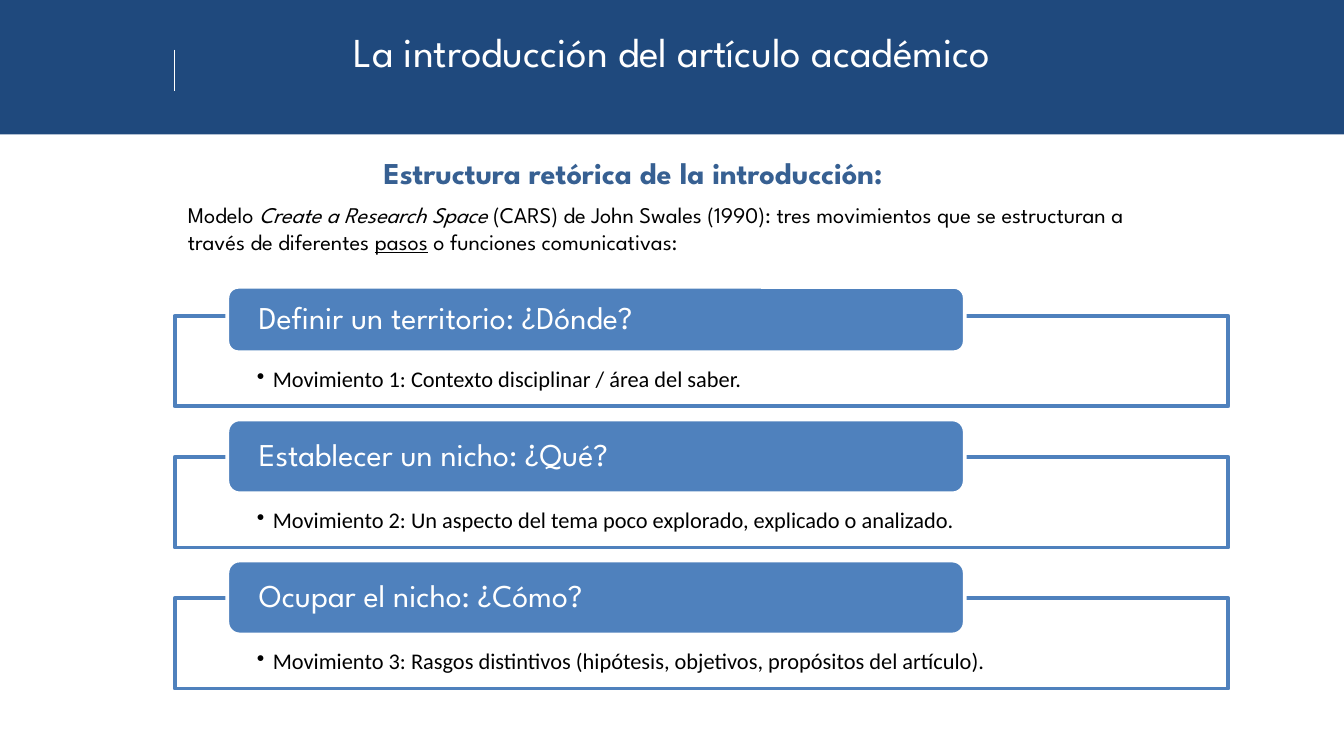
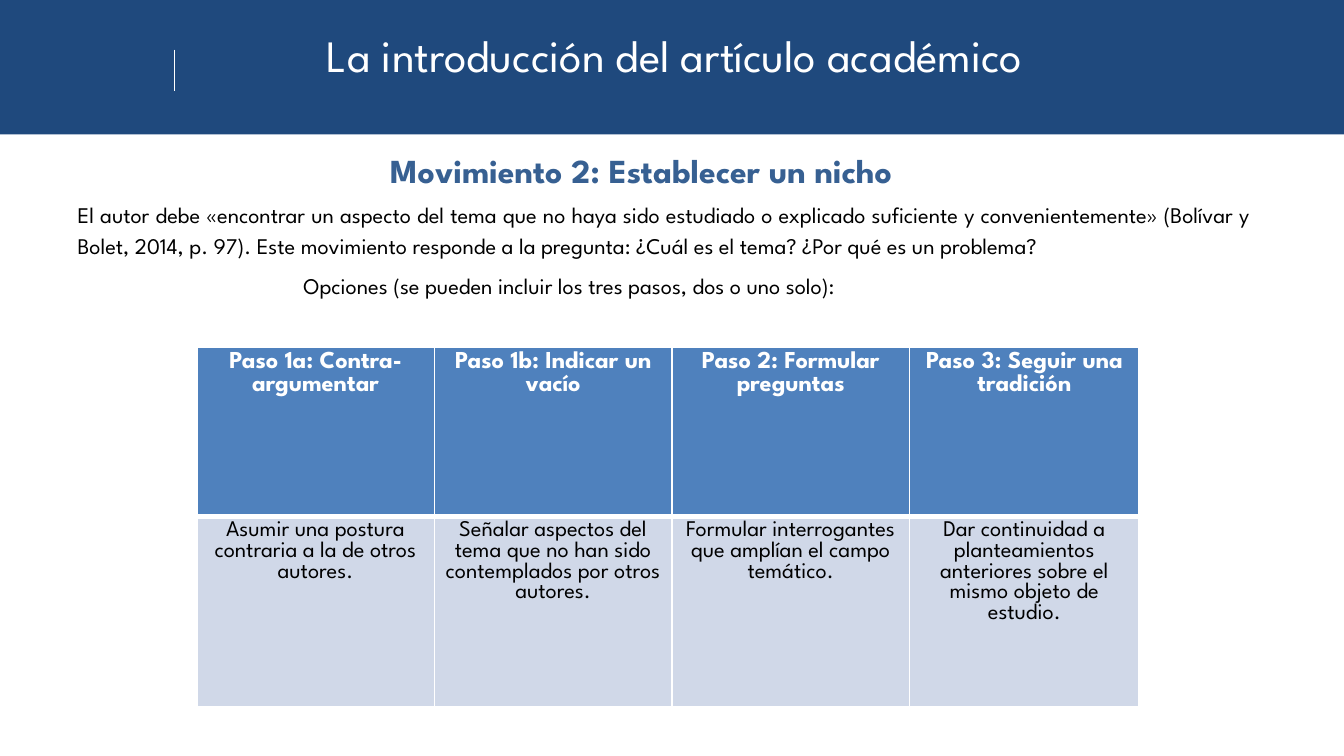
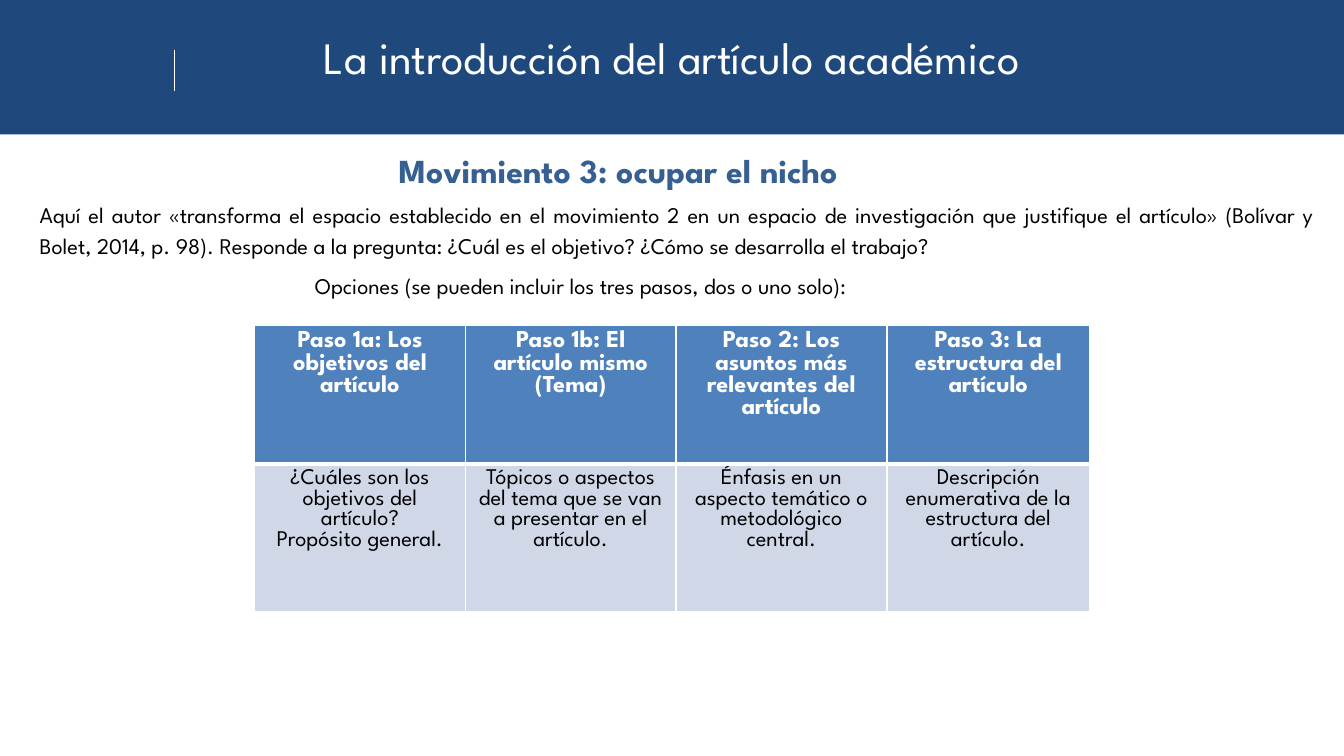
from lxml import etree
from pptx import Presentation
from pptx.dml.color import RGBColor
from pptx.enum.shapes import MSO_CONNECTOR, MSO_SHAPE
from pptx.enum.text import MSO_ANCHOR, MSO_AUTO_SIZE, PP_ALIGN
from pptx.oxml.ns import qn
from pptx.util import Pt

RECTANGLE = MSO_SHAPE.RECTANGLE
ROUNDED_RECTANGLE = MSO_SHAPE.ROUNDED_RECTANGLE
STRAIGHT = MSO_CONNECTOR.STRAIGHT
TOP, MIDDLE, BOTTOM = MSO_ANCHOR.TOP, MSO_ANCHOR.MIDDLE, MSO_ANCHOR.BOTTOM
LEFT, CENTER, JUSTIFY = PP_ALIGN.LEFT, PP_ALIGN.CENTER, PP_ALIGN.JUSTIFY
NO_AUTOFIT = MSO_AUTO_SIZE.NONE

COLORS = {
    "band": "1F497D",
    "heading": "376092",
    "accent": "4F81BD",
    "cell": "D0D8E8",
    "white": "FFFFFF",
    "black": "000000",
}
MAIN_FONT = "League Spartan"
LIST_FONT = "Calibri"
BANNER_TEXT = "La introducción del artículo académico"
OPTIONS_TEXT = "Opciones (se pueden incluir los tres pasos, dos o uno solo):"


def color(name):
    return RGBColor.from_string(COLORS[name])


def format_text(text_frame, size, color_name, alignment=LEFT, font=MAIN_FONT, bold=False):
    text_frame.word_wrap = True
    for paragraph in text_frame.paragraphs:
        paragraph.alignment = alignment
        for run in paragraph.runs:
            run.font.size = Pt(size)
            run.font.name = font
            run.font.bold = bold
            run.font.color.rgb = color(color_name)


presentation = Presentation()
presentation.slide_width = Pt(720)
presentation.slide_height = Pt(405)

headings = [
    ("Estructura retórica de la introducción:", 16.2, 205.5, 69, 10.8, 22),
    ("Movimiento 2: Establecer un nicho", 18, 209, 70.5, 11.5, 24),
    ("Movimiento 3: ocupar el nicho", 18, 213.5, 69, 12.2, 24),
]
slides = []
for heading, heading_size, heading_left, banner_left, banner_top, banner_size in headings:
    slide = presentation.slides.add_slide(presentation.slide_layouts[5])
    slides.append(slide)

    band = slide.shapes.add_shape(RECTANGLE, Pt(0), Pt(0), Pt(720), Pt(72))
    band.shadow.inherit = False
    band.fill.solid()
    band.fill.fore_color.rgb = color("band")
    band.line.fill.background()

    divider = slide.shapes.add_connector(STRAIGHT, Pt(93.6), Pt(26.6), Pt(93.6), Pt(49))
    divider.line.color.rgb = color("white")
    divider.line.width = Pt(0.75)
    etree.SubElement(divider._element.spPr, qn("a:effectLst"))

    title = slide.shapes.title
    title.left, title.top, title.width, title.height = Pt(20), Pt(75.6), Pt(607), Pt(30)
    title.text_frame.text = heading
    title.text_frame.auto_size = NO_AUTOFIT
    title.text_frame.vertical_anchor = BOTTOM
    title.text_frame.margin_left = Pt(heading_left - 20)
    format_text(title.text_frame, heading_size, "heading", bold=True)

    banner = slide.shapes.add_textbox(Pt(banner_left), Pt(banner_top), Pt(582), Pt(72))
    banner.text_frame.text = BANNER_TEXT
    format_text(banner.text_frame, banner_size, "white", CENTER)

model_slide = slides[0]
model_box = model_slide.shapes.add_textbox(Pt(93.6), Pt(104.4), Pt(535), Pt(69))
model_paragraph = model_box.text_frame.paragraphs[0]
for text, italic, underline in [
    ("Modelo ", False, False),
    ("Create a Research Space ", True, False),
    ("(CARS) de John Swales (1990): tres movimientos que se estructuran a través de diferentes ", False, False),
    ("pasos", False, True),
    (" o funciones comunicativas:", False, False),
]:
    run = model_paragraph.add_run()
    run.text = text
    run.font.italic = italic
    run.font.underline = underline
format_text(model_box.text_frame, 12, "black")

moves = [
    ("Definir un territorio: ¿Dónde?", 35,
     "Movimiento 1: Contexto disciplinar / área del saber."),
    ("Establecer un nicho: ¿Qué?", 39.6,
     "Movimiento 2: Un aspecto del tema poco explorado, explicado o analizado."),
    ("Ocupar el nicho: ¿Cómo?", 39.6,
     "Movimiento 3: Rasgos distintivos (hipótesis, objetivos, propósitos del artículo)."),
]
for index, (question, label_height, description) in enumerate(moves):
    frame_top = 169.2 + 75.6 * index
    label_top = frame_top + 19.5 - label_height
    frame = model_slide.shapes.add_shape(RECTANGLE, Pt(93.6), Pt(frame_top), Pt(564.5), Pt(48.5))
    label = model_slide.shapes.add_shape(
        ROUNDED_RECTANGLE, Pt(121.8), Pt(label_top), Pt(395), Pt(label_height))
    for shape, text, fill, line, margins, anchor in [
        (frame, description, "white", "accent", (44, 28, 44, 6.5), TOP),
        (label, question, "accent", "white", (15, 0, 15, 0), MIDDLE),
    ]:
        shape.shadow.inherit = False
        shape.fill.solid()
        shape.fill.fore_color.rgb = color(fill)
        shape.line.color.rgb = color(line)
        shape.line.width = Pt(2)
        text_frame = shape.text_frame
        text_frame.text = text
        text_frame.vertical_anchor = anchor
        text_frame.margin_left, text_frame.margin_top = Pt(margins[0]), Pt(margins[1])
        text_frame.margin_right, text_frame.margin_bottom = Pt(margins[2]), Pt(margins[3])
        text_frame.paragraphs[0].line_spacing = 0.9
    list_properties = frame.text_frame.paragraphs[0]._p.get_or_add_pPr()
    list_properties.set("marL", str(Pt(8.6)))
    list_properties.set("indent", str(Pt(-8.6)))
    etree.SubElement(list_properties, qn("a:buChar"), char="•")
    format_text(frame.text_frame, 12, "black", font=LIST_FONT)
    format_text(label.text_frame, 17, "white")

movement_pages = [
    {
        "slide": slides[1],
        "intro": "El autor debe «encontrar un aspecto del tema que no haya sido estudiado o explicado "
                 "suficiente y convenientemente» (Bolívar y Bolet, 2014, p. 97). Este movimiento responde "
                 "a la pregunta: ¿Cuál es el tema? ¿Por qué es un problema?",
        "intro_box": (34.5, 102.2, 643, 128),
        "options_indent": 121,
        "table_box": (105.4, 185.8, 505, 193),
        "column_widths": (127.3, 127.3, 127.3, 123.1),
        "row_heights": (90.8, 102.2),
        "steps": [
            ("Paso 1a: Contra- argumentar", "Asumir una postura contraria a la de otros autores."),
            ("Paso 1b: Indicar un vacío",
             "Señalar aspectos del tema que no han sido contemplados por otros autores."),
            ("Paso 2: Formular preguntas", "Formular interrogantes que amplían el campo temático."),
            ("Paso 3: Seguir una tradición",
             "Dar continuidad a planteamientos anteriores sobre el mismo objeto de estudio."),
        ],
    },
    {
        "slide": slides[2],
        "intro": "Aquí el autor «transforma el espacio establecido en el movimiento 2 en un espacio de "
                 "investigación que justifique el artículo» (Bolívar y Bolet, 2014, p. 98). Responde a la "
                 "pregunta: ¿Cuál es el objetivo? ¿Cómo se desarrolla el trabajo?",
        "intro_box": (14.2, 102.2, 697.5, 111.6),
        "options_indent": 147.5,
        "table_box": (136.4, 174.4, 447.5, 153.2),
        "column_widths": (112.9, 112.9, 112.9, 108.8),
        "row_heights": (74.2, 79),
        "steps": [
            ("Paso 1a: Los objetivos del artículo",
             "¿Cuáles son los objetivos del artículo?\nPropósito general."),
            ("Paso 1b: El artículo mismo (Tema)",
             "Tópicos o aspectos del tema que se van a presentar en el artículo."),
            ("Paso 2: Los asuntos más relevantes del artículo",
             "Énfasis en un aspecto temático o metodológico central."),
            ("Paso 3: La estructura del artículo",
             "Descripción enumerativa de la estructura del artículo."),
        ],
    },
]
row_styles = [("accent", "white", 13, True, 3), ("cell", "black", 12, False, 1)]

for page in movement_pages:
    shapes = page["slide"].shapes
    intro_box = shapes.add_textbox(*[Pt(length) for length in page["intro_box"]])
    intro_box.text_frame.text = page["intro"] + "\n" + OPTIONS_TEXT
    format_text(intro_box.text_frame, 12, "black")
    intro, options = intro_box.text_frame.paragraphs
    intro.alignment = JUSTIFY
    intro.line_spacing = 1.14
    options.line_spacing = 1.5
    options._p.get_or_add_pPr().set("marL", str(Pt(page["options_indent"])))

    table = shapes.add_table(2, 4, *[Pt(length) for length in page["table_box"]]).table
    for column, width in zip(table.columns, page["column_widths"]):
        column.width = Pt(width)
    for row, height in zip(table.rows, page["row_heights"]):
        row.height = Pt(height)
    for column_index, step in enumerate(page["steps"]):
        for row_index, (fill, text_color, size, bold, bottom_width) in enumerate(row_styles):
            cell = table.cell(row_index, column_index)
            cell.text_frame.text = step[row_index]
            cell.margin_left = cell.margin_right = Pt(5.4)
            cell.margin_top = cell.margin_bottom = Pt(2.7)
            format_text(cell.text_frame, size, text_color, CENTER, bold=bold)
            cell.fill.solid()
            cell.fill.fore_color.rgb = color(fill)
            cell_properties = cell._tc.get_or_add_tcPr()
            for position, side in enumerate(("lnL", "lnR", "lnT", "lnB")):
                width = bottom_width if side == "lnB" else 1
                border = etree.Element(qn("a:" + side), w=str(Pt(width)))
                border_fill = etree.SubElement(border, qn("a:solidFill"))
                etree.SubElement(border_fill, qn("a:srgbClr"), val=COLORS["white"])
                cell_properties.insert(position, border)

presentation.save("out.pptx")
